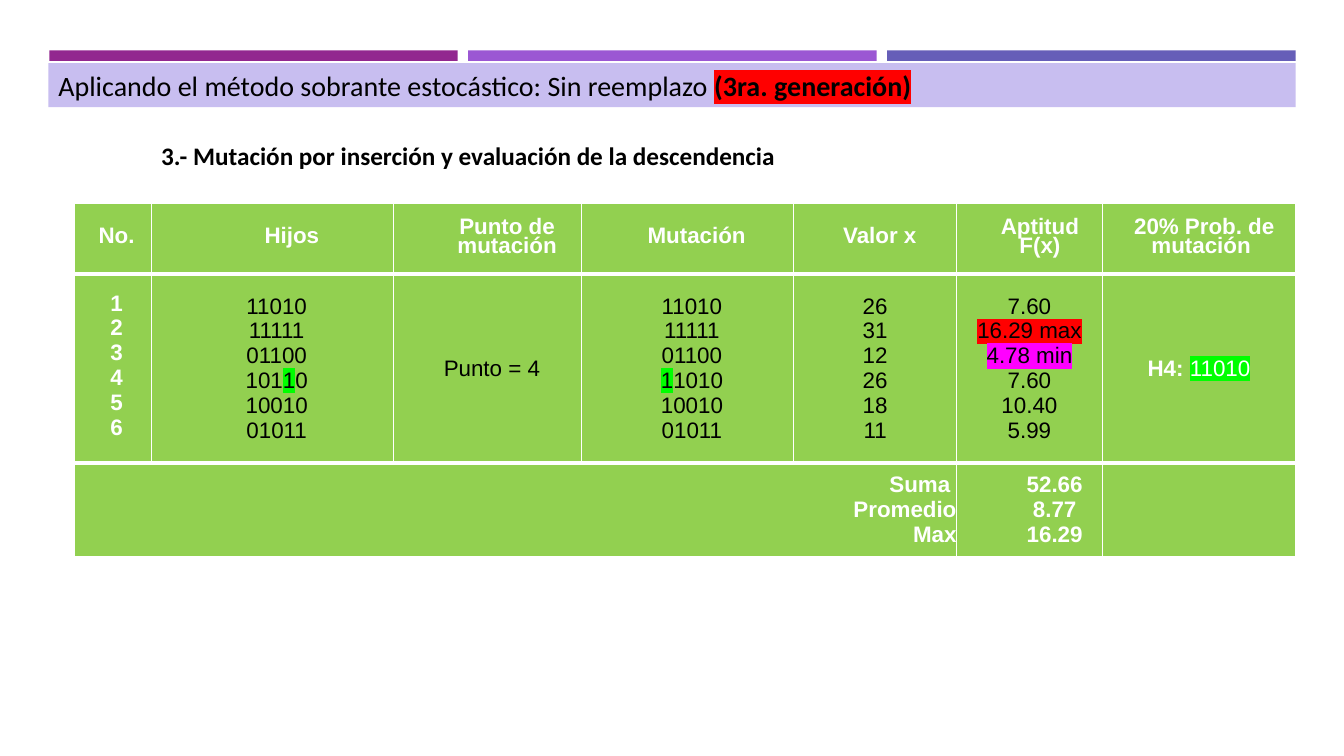
from lxml import etree
from pptx import Presentation
from pptx.dml.color import RGBColor
from pptx.enum.shapes import MSO_SHAPE
from pptx.enum.text import MSO_ANCHOR, PP_ALIGN
from pptx.oxml.ns import qn
from pptx.util import Emu, Pt

RECTANGLE = MSO_SHAPE.RECTANGLE
MIDDLE = MSO_ANCHOR.MIDDLE
LEFT, CENTER, RIGHT = PP_ALIGN.LEFT, PP_ALIGN.CENTER, PP_ALIGN.RIGHT

EMU_PER_PX = 9525
BLACK = RGBColor(0x00, 0x00, 0x00)
WHITE = RGBColor(0xFF, 0xFF, 0xFF)
PURPLE = RGBColor(0x92, 0x27, 0x8F)
VIOLET = RGBColor(0x9B, 0x57, 0xD3)
INDIGO = RGBColor(0x66, 0x5E, 0xB8)
LILAC = RGBColor(0xC8, 0xBE, 0xF0)
TABLE_GREEN = RGBColor(0x92, 0xD0, 0x50)
LIME = RGBColor(0x00, 0xFF, 0x00)
RED = RGBColor(0xFF, 0x00, 0x00)
MAGENTA = RGBColor(0xFF, 0x00, 0xFF)

COLUMN_WIDTHS = [73, 231, 179, 202, 155, 139, 184]
ROW_HEIGHTS = [67, 180, 89]

# fmt: off
HEADINGS = [
    (["No."], 7, 0),
    (["Hijos"], 37, 0),
    (["Punto de mutación"], 37, 0),
    (["Mutación"], 8, 9),
    (["Valor x"], 9, 0),
    (["Aptitud", "F(x)"], 21, -1),
    (["20% Prob. de mutación "], 10, 0),
]
GENERATION = [
    (["11010", "11111", "01100", [("101", None), ("1", LIME), ("0", None)],
      "10010", "01011"], 8),
    (["Punto = 4"], 8),
    (["11010", "11111", "01100", [("1", LIME), ("1010", None)],
      "10010", "01011"], 8),
    (["26", "31", "12", "26", "18", "11"], 0),
    (["7.60", [("16.29 max", RED)], [("4.78 min", MAGENTA)],
      "7.60", "10.40", "5.99"], 0),
]
# fmt: on


def px(length):
    return Emu(length * EMU_PER_PX)


def add_runs(paragraph, content):
    runs = [(content, None)] if isinstance(content, str) else content
    for text, highlight, *bold in runs:
        run = paragraph.add_run()
        run.text = text
        if bold:
            run.font.bold = bold[0]
        if highlight is not None:
            marker = etree.Element(qn("a:highlight"))
            etree.SubElement(marker, qn("a:srgbClr"), val=str(highlight))
            run._r.get_or_add_rPr().insert(0, marker)


def format_paragraph(paragraph, font_name, size, color, bold, align):
    paragraph.alignment = align
    paragraph.font.name = font_name
    paragraph.font.size = Pt(size)
    paragraph.font.color.rgb = color
    paragraph.font.bold = bold


def add_bars(slide, left, top, width, height):
    gap = 10
    bar_width = (width - 2 * gap) // 3
    for index, color in enumerate([PURPLE, VIOLET, INDIGO]):
        bar = slide.shapes.add_shape(
            RECTANGLE, px(left + index * (bar_width + gap)), px(top), px(bar_width), px(height)
        )
        bar.shadow.inherit = False
        bar.fill.solid()
        bar.fill.fore_color.rgb = color
        bar.line.fill.background()


def add_title(slide, left, top, width, height):
    title = slide.shapes.title
    title.left, title.top, title.width, title.height = map(px, (left, top, width, height))
    title.fill.solid()
    title.fill.fore_color.rgb = LILAC
    title.text_frame.vertical_anchor = MIDDLE
    heading = title.text_frame.paragraphs[0]
    format_paragraph(heading, "Calibri", 20, BLACK, False, LEFT)
    add_runs(heading, [
        ("Aplicando el método sobrante estocástico: Sin reemplazo ", None),
        ("(3ra. generación)", RED, True),
    ])


def add_step(slide, left, top, width, height):
    step = slide.shapes.add_textbox(px(left), px(top), px(width), px(height))
    step.text_frame.word_wrap = True
    line = step.text_frame.paragraphs[0]
    format_paragraph(line, "Calibri", 18, BLACK, True, CENTER)
    add_runs(line, "3.- Mutación por inserción y evaluación de la descendencia")


def fill_cell(cell, lines, color=WHITE, bold=True, align=CENTER, margin=0, indent=0, spacing=None):
    for number, content in enumerate(lines):
        frame = cell.text_frame
        paragraph = frame.add_paragraph() if number else frame.paragraphs[0]
        format_paragraph(paragraph, "Arial", 16, color, bold, align)
        if spacing:
            paragraph.line_spacing = Pt(spacing)
        properties = paragraph._p.get_or_add_pPr()
        properties.set("marL", str(px(margin)))
        properties.set("indent", str(px(indent)))
        add_runs(paragraph, content)


def style_cell(cell, top_width, bottom_width):
    cell.margin_left = cell.margin_right = cell.margin_top = cell.margin_bottom = 0
    cell.vertical_anchor = MIDDLE
    cell.fill.solid()
    cell.fill.fore_color.rgb = TABLE_GREEN
    properties = cell._tc.get_or_add_tcPr()
    widths = {"a:lnL": 1, "a:lnR": 1, "a:lnT": top_width, "a:lnB": bottom_width}
    for position, (side, width) in enumerate(widths.items()):
        border = etree.Element(qn(side), w=str(Pt(width)))
        fill = etree.SubElement(border, qn("a:solidFill"))
        etree.SubElement(fill, qn("a:srgbClr"), val=str(WHITE))
        properties.insert(position, border)


def add_mutation_table(slide, left, top, width, height):
    table = slide.shapes.add_table(
        len(ROW_HEIGHTS), len(COLUMN_WIDTHS), px(left), px(top), px(width), px(height)
    ).table
    table.first_row = table.horz_banding = False
    for column, column_width in zip(table.columns, COLUMN_WIDTHS):
        column.width = px(column_width)
    last_row = len(ROW_HEIGHTS) - 1
    for index, (row, row_height) in enumerate(zip(table.rows, ROW_HEIGHTS)):
        row.height = px(row_height)
        for cell in row.cells:
            style_cell(cell, 3 if index else 1, 3 if index < last_row else 1)

    for column, (lines, margin, indent) in enumerate(HEADINGS):
        fill_cell(table.cell(0, column), lines, margin=margin, indent=indent, spacing=13.8)

    numbers = table.cell(1, 0)
    fill_cell(numbers, ["1", "2", "3", "4", "5", "6"], margin=7)
    numbers.text_frame.paragraphs[0].line_spacing = Pt(13.5)
    for column, (lines, margin) in enumerate(GENERATION, start=1):
        fill_cell(table.cell(1, column), lines, BLACK, False, margin=margin)
    fill_cell(table.cell(1, 6), [[("H4: ", None), ("11010", LIME, False)]])

    summary = table.cell(2, 0)
    summary.merge(table.cell(2, 4))
    fill_cell(summary, ["Suma ", "Promedio", "Max"], align=RIGHT, margin=7)
    fill_cell(table.cell(2, 5), ["52.66", "8.77", "16.29"], margin=48)


def main():
    presentation = Presentation()
    presentation.slide_width, presentation.slide_height = px(1280), px(720)
    slide = presentation.slides.add_slide(presentation.slide_layouts[5])
    add_bars(slide, 47, 48, 1187, 10)
    add_title(slide, 46, 60, 1188, 42)
    add_step(slide, 28, 129, 836, 38)
    add_mutation_table(slide, 71, 194, sum(COLUMN_WIDTHS), sum(ROW_HEIGHTS))
    presentation.save("out.pptx")


if __name__ == "__main__":
    main()
